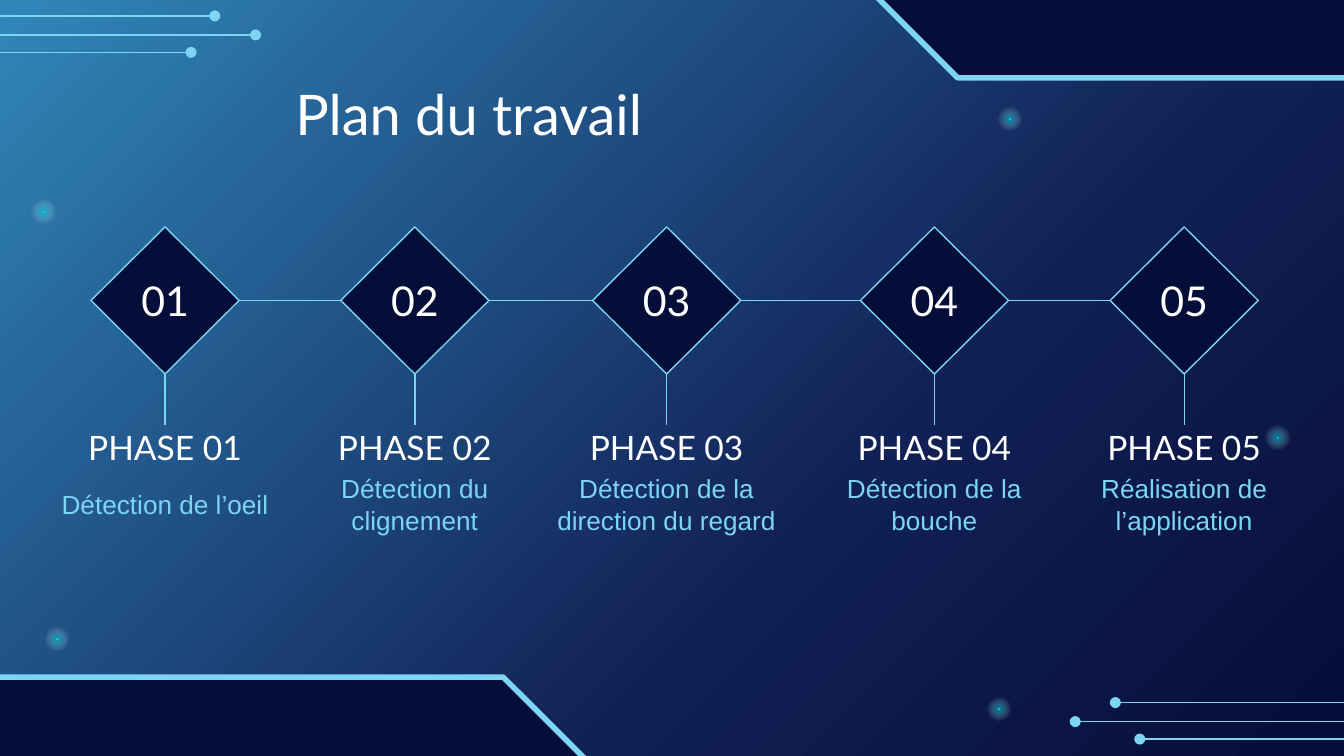
"""Build the work plan slide: five phases on a timeline."""
from itertools import pairwise

from lxml.etree import SubElement
from pptx import Presentation
from pptx.dml.color import RGBColor
from pptx.enum.shapes import MSO_CONNECTOR, MSO_SHAPE
from pptx.enum.text import MSO_ANCHOR, MSO_AUTO_SIZE, PP_ALIGN
from pptx.oxml import parse_xml
from pptx.oxml.ns import nsdecls, qn
from pptx.util import Cm, Pt

NAVY, SKY, WHITE = "050E38", "7CD5F3", "FFFFFF"
TITLE = "Plan du travail"
PHASES = [
    ("01", "Détection de l’oeil", 3.12, 4.44),
    ("02", "Détection du clignement", 7.84, 4.44),
    ("03", "Détection de la direction du regard", 12.6, 5.26),
    ("04", "Détection de la bouche", 17.66, 4.44),
    ("05", "Réalisation de l’application", 22.38, 4.44),
]
BACK = [(0, "3186B9", 100), (64, "112055", 100), (100, NAVY, 100)]
GLOW = [(0, "21FFFF", 100), (9, "05D8E7", 48), (69, WHITE, 0), (100, WHITE, 0)]
BANDS = [(-1.88, 12.8, 0), (16.31, -2.11, 180)]
RAILS = [
    (-1.04, 4.83, 0.66), (-2.29, 3.61, 0.99), (-1.8, 4.06, 0.3),
    (26.19, 20.32, 13.64), (27.41, 21.54, 13.97), (26.95, 21.08, 13.28),
]
DOTS = [(18.85, 2.01), (0.58, 3.76), (23.9, 8.03), (0.84, 11.84), (18.64, 13.16)]
MID, WIDE, HIGH = 5.68, 2.8, 2.78
HEAD, NOTE = 8.03, 8.92


def color(code):
    return RGBColor.from_string(code)


def blend(host, stops, way):
    """Swap the solid fill in host for a gradient."""
    marks = "".join(
        f'<a:gs pos="{pos * 1000}"><a:srgbClr val="{code}">'
        f'<a:alpha val="{alpha * 1000}"/></a:srgbClr></a:gs>'
        for pos, code, alpha in stops
    )
    fill = parse_xml(
        f'<a:gradFill {nsdecls("a")} rotWithShape="1">'
        f"<a:gsLst>{marks}</a:gsLst>{way}</a:gradFill>"
    )
    host.replace(host.find(qn("a:solidFill")), fill)


def shape(kind, left, top, width, height, weight=0):
    """Add a navy shape, outlined when it has a weight."""
    item = slide.shapes.add_shape(kind, Cm(left), Cm(top), Cm(width), Cm(height))
    item.shadow.inherit = False
    item.fill.solid()
    item.fill.fore_color.rgb = color(NAVY)
    if weight:
        item.line.color.rgb = color(SKY)
        item.line.width = Pt(weight)
    else:
        item.line.fill.background()
    return item


def line(x1, y1, x2, y2, knob=False):
    """Add a thin line, with a round end if asked."""
    item = slide.shapes.add_connector(
        MSO_CONNECTOR.STRAIGHT, Cm(x1), Cm(y1), Cm(x2), Cm(y2))
    item.line.color.rgb = color(SKY)
    item.line.width = Pt(0.75)
    props = item.element.spPr
    if knob:
        SubElement(props.find(qn("a:ln")), qn("a:tailEnd"), type="oval")
    SubElement(props, qn("a:effectLst"))


def write(item, text, size, font, code, align=PP_ALIGN.CENTER, side=0.25):
    """Put one styled run in a shape."""
    frame = item.text_frame
    frame.word_wrap = True
    frame.auto_size = MSO_AUTO_SIZE.NONE
    frame.vertical_anchor = MSO_ANCHOR.MIDDLE
    frame.margin_left = frame.margin_right = Cm(side)
    frame.margin_top = frame.margin_bottom = Cm(0.25)
    para = frame.paragraphs[0]
    para.alignment = align
    run = para.add_run()
    run.text = text
    run.font.size = Pt(size)
    run.font.name = font
    run.font.color.rgb = color(code)


def label(mid, top, width, height, *style):
    """Add a text box centred on mid."""
    box = slide.shapes.add_textbox(
        Cm(mid - width / 2), Cm(top), Cm(width), Cm(height))
    write(box, *style)


deck = Presentation()
deck.slide_width, deck.slide_height = Cm(25.4), Cm(14.29)
slide = deck.slides.add_slide(deck.slide_layouts[5])
slide.background.fill.solid()
blend(slide.element.find(".//" + qn("p:bgPr")), BACK,
      '<a:lin ang="2700000" scaled="0"/>')

for left, top, turn in BANDS:
    band = shape(MSO_SHAPE.SNIP_2_SAME_RECTANGLE, left, top, 13.18, 3.58, 3)
    band.adjustments[0], band.adjustments[1] = 0.5, 0
    band.rotation = turn
for start, end, y in RAILS:
    line(start, y, end, y, True)
for left, top in DOTS:
    dot = shape(MSO_SHAPE.OVAL, left, top, 0.48, 0.48)
    blend(dot.element.spPr, GLOW,
          '<a:path path="circle"><a:fillToRect l="50000" t="50000" '
          'r="50000" b="50000"/></a:path>')

for num, note, mid, width in PHASES:
    label(mid, HEAD, 4.44, 0.86, f"PHASE {num}", 18, "Lato", WHITE)
    label(mid, NOTE, width, 1.22, note, 14, "Arial", SKY)
    gem = shape(MSO_SHAPE.DIAMOND, mid - WIDE / 2, MID - HIGH / 2, WIDE, HIGH, 0.75)
    write(gem, num, 22, "Lato", WHITE, side=0)
    line(mid, MID + HIGH / 2, mid, HEAD)
for (*_, one, _), (*_, two, _) in pairwise(PHASES):
    line(one + WIDE / 2, MID, two - WIDE / 2, MID)

title = slide.shapes.title
title.left, title.top, title.width, title.height = Cm(5.33), Cm(1.32), Cm(15.39), Cm(1.63)
write(title, TITLE, 30, "Lato", WHITE, PP_ALIGN.LEFT)
deck.save("out.pptx")
